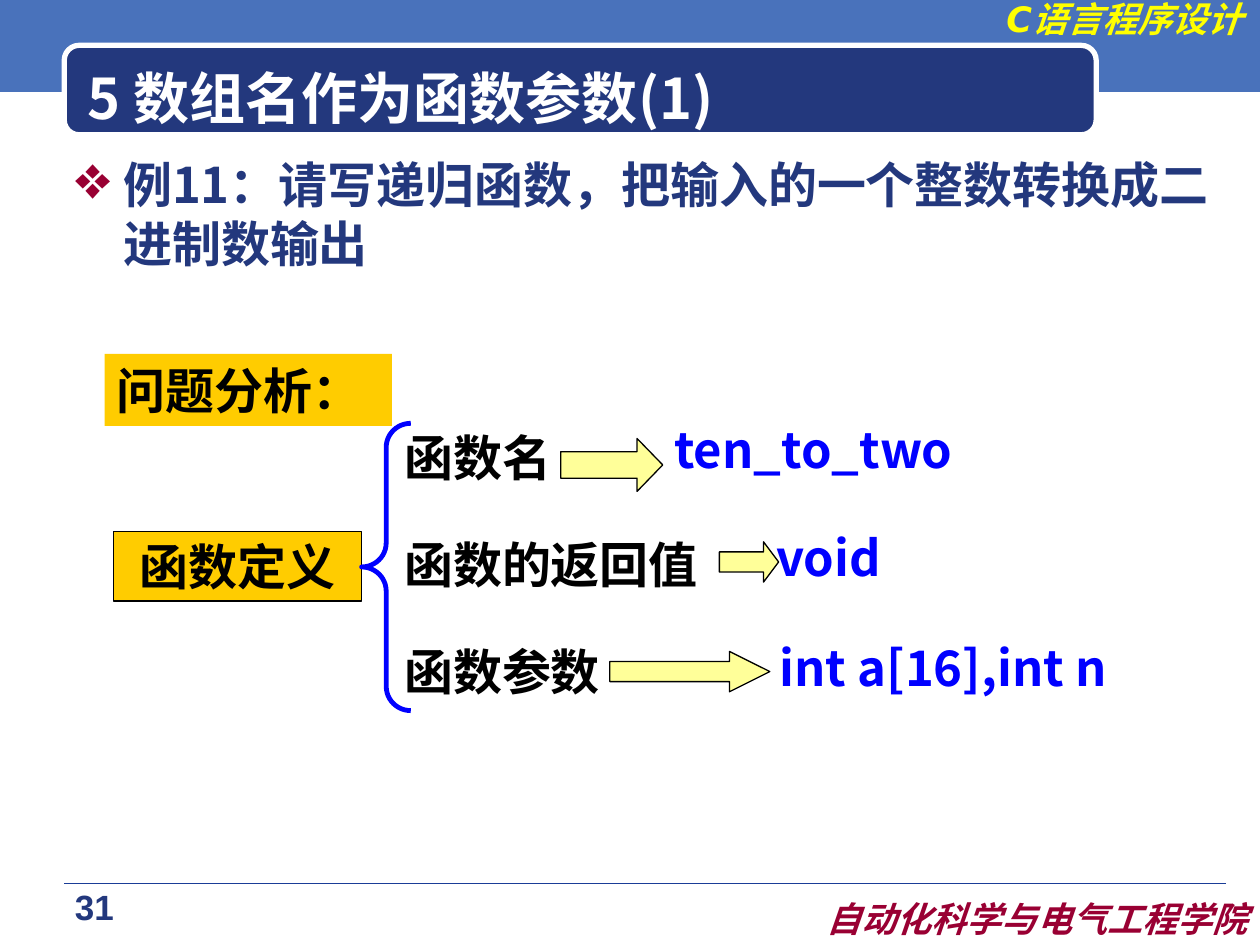
"""Build the slide on array names as function parameters."""
import pptx
import pptx.dml.color
import pptx.enum.shapes
import pptx.enum.text
import pptx.util
from lxml import etree

Inches, Pt = pptx.util.Inches, pptx.util.Pt
SHAPE = pptx.enum.shapes.MSO_SHAPE
ALIGN = pptx.enum.text.PP_ALIGN
ANCHOR = pptx.enum.text.MSO_ANCHOR
CJK = "Noto Sans CJK SC"
NAVY, BLUE, MAROON, GOLD = "23387D", "0000FF", "990033", "FFCC00"

deck = pptx.Presentation()
deck.slide_width, deck.slide_height = Inches(10), Inches(7.5)
slide = deck.slides.add_slide(deck.slide_layouts[6])


def add_block(kind, box, fill=None, line=None, width=0.74):
    left, top, wide, high = map(Inches, box)
    if kind is None:
        return slide.shapes.add_textbox(left, top, wide, high)
    block = slide.shapes.add_shape(kind, left, top, wide, high)
    block.shadow.inherit = False
    if fill:
        block.fill.solid()
        block.fill.fore_color.rgb = pptx.dml.color.RGBColor.from_string(fill)
    else:
        block.fill.background()
    if line:
        block.line.color.rgb = pptx.dml.color.RGBColor.from_string(line)
        block.line.width = Pt(width)
    else:
        block.line.fill.background()
    return block


def write(block, lines, color, font=CJK, size=28, align=ALIGN.LEFT,
          anchor=ANCHOR.TOP, wrap=True, before=0, spacing=1.0, italic=False):
    frame = block.text_frame
    frame.word_wrap = wrap
    frame.vertical_anchor = anchor
    frame.text = "\n".join(lines)
    for paragraph in frame.paragraphs:
        paragraph.alignment = align
        paragraph.space_before = Pt(before)
        paragraph.line_spacing = spacing
        paragraph.font.name = font
        paragraph.font.size = Pt(size)
        paragraph.font.bold = True
        paragraph.font.italic = italic
        paragraph.font.color.rgb = pptx.dml.color.RGBColor.from_string(color)
        defaults = paragraph.font._element
        east_asian = etree.SubElement(defaults, pptx.oxml.ns.qn("a:ea"))
        east_asian.set("typeface", CJK)
    return frame


add_block(SHAPE.RECTANGLE, (0, -0.03, 10, 0.76), "4972BB")
footer_rule = slide.shapes.add_connector(
    pptx.enum.shapes.MSO_CONNECTOR.STRAIGHT,
    Inches(0.51), Inches(7.01), Inches(9.73), Inches(7.01))
footer_rule.line.color.rgb = pptx.dml.color.RGBColor.from_string("1A3D97")
footer_rule.line.width = Pt(0.25)
etree.SubElement(footer_rule._element.spPr, pptx.oxml.ns.qn("a:effectLst"))
add_block(SHAPE.ROUNDED_RECTANGLE, (0.51, 0.36, 8.19, 0.71), NAVY, "FFFFFF", 3)

for wording, box, color in (
        ("C语言程序设计", (7.44, -0.07, 2.52, 0.44), "FFFF00"),
        ("自动化科学与电气工程学院", (5.96, 7.07, 4.04, 0.44), MAROON)):
    write(add_block(None, box), [wording], color, "DejaVu Sans", 20,
          ALIGN.RIGHT, italic=True)
write(add_block(None, (0.2, 6.98, 1.1, 0.43)), ["31"], NAVY, "Arial", 20,
      ALIGN.CENTER)
write(add_block(None, (0.6, 0.46, 7.83, 0.62)), ["5 数组名作为函数参数(1)"],
      "FFFFFF", size=32, anchor=ANCHOR.MIDDLE)

task = write(add_block(None, (0.5, 1.18, 9.3, 1.1)),
             ["例11：请写递归函数，把输入的一个整数转换成二进制数输出"], NAVY, before=7)
task_format = task.paragraphs[0]._p.get_or_add_pPr()
task_format.set("marL", str(Inches(0.38)))
task_format.set("indent", str(Inches(-0.38)))
bullet_color = etree.Element(pptx.oxml.ns.qn("a:buClr"))
etree.SubElement(bullet_color, pptx.oxml.ns.qn("a:srgbClr")).set("val", MAROON)
bullet_size = etree.Element(pptx.oxml.ns.qn("a:buSzPct"))
bullet_size.set("val", "125000")
bullet = etree.Element(pptx.oxml.ns.qn("a:buChar"))
bullet.set("char", "❖")
task_defaults = task_format.find(pptx.oxml.ns.qn("a:defRPr"))
for bullet_part in (bullet_color, bullet_size, bullet):
    task_defaults.addprevious(bullet_part)

write(add_block(SHAPE.RECTANGLE, (0.83, 2.81, 2.28, 0.57), GOLD),
      ["问题分析："], "000000", "Arial", before=17.5)
write(add_block(SHAPE.RECTANGLE, (0.9, 4.22, 1.97, 0.55), GOLD, "000000"),
      ["函数定义"], "000000", "Arial", align=ALIGN.CENTER,
      anchor=ANCHOR.MIDDLE, wrap=False)
brace = add_block(SHAPE.LEFT_BRACE, (2.87, 3.36, 0.39, 2.28), None, BLUE, 2.75)
brace.adjustments[0] = 0.49
write(add_block(None, (3.11, 3.2, 2.76, 2.41)),
      ["函数名", "函数的返回值", "函数参数"], "000000", "Arial",
      before=17.5, spacing=1.3)

for answer, answer_box, arrow_box, head in (
        ("ten_to_two", (5.29, 3.28, 2.33, 0.66), (4.45, 3.48, 0.81, 0.42), 0.485),
        ("void", (6.08, 4.14, 0.99, 0.55), (5.71, 4.3, 0.47, 0.32), 0.374),
        ("int a[16],int n", (6.01, 5.01, 2.95, 0.55), (4.84, 5.17, 1.27, 0.32), 1.0)):
    arrow = add_block(SHAPE.RIGHT_ARROW, arrow_box, "FFFF99", "000000")
    arrow.adjustments[1] = head
    answer_frame = write(add_block(None, answer_box), [answer], BLUE,
                         align=ALIGN.CENTER, wrap=False)
    answer_frame.margin_left = answer_frame.margin_right = 0

deck.save("out.pptx")
